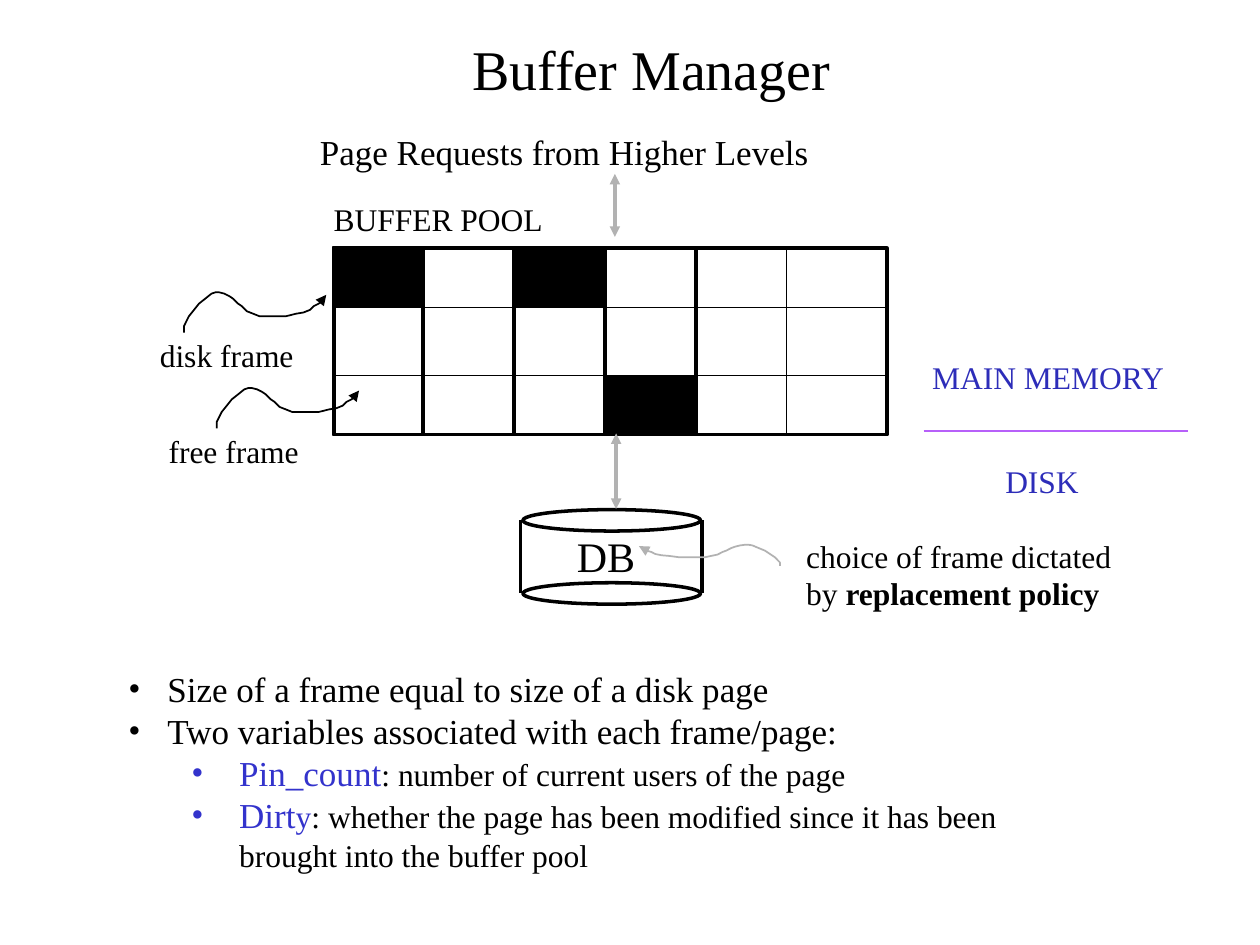
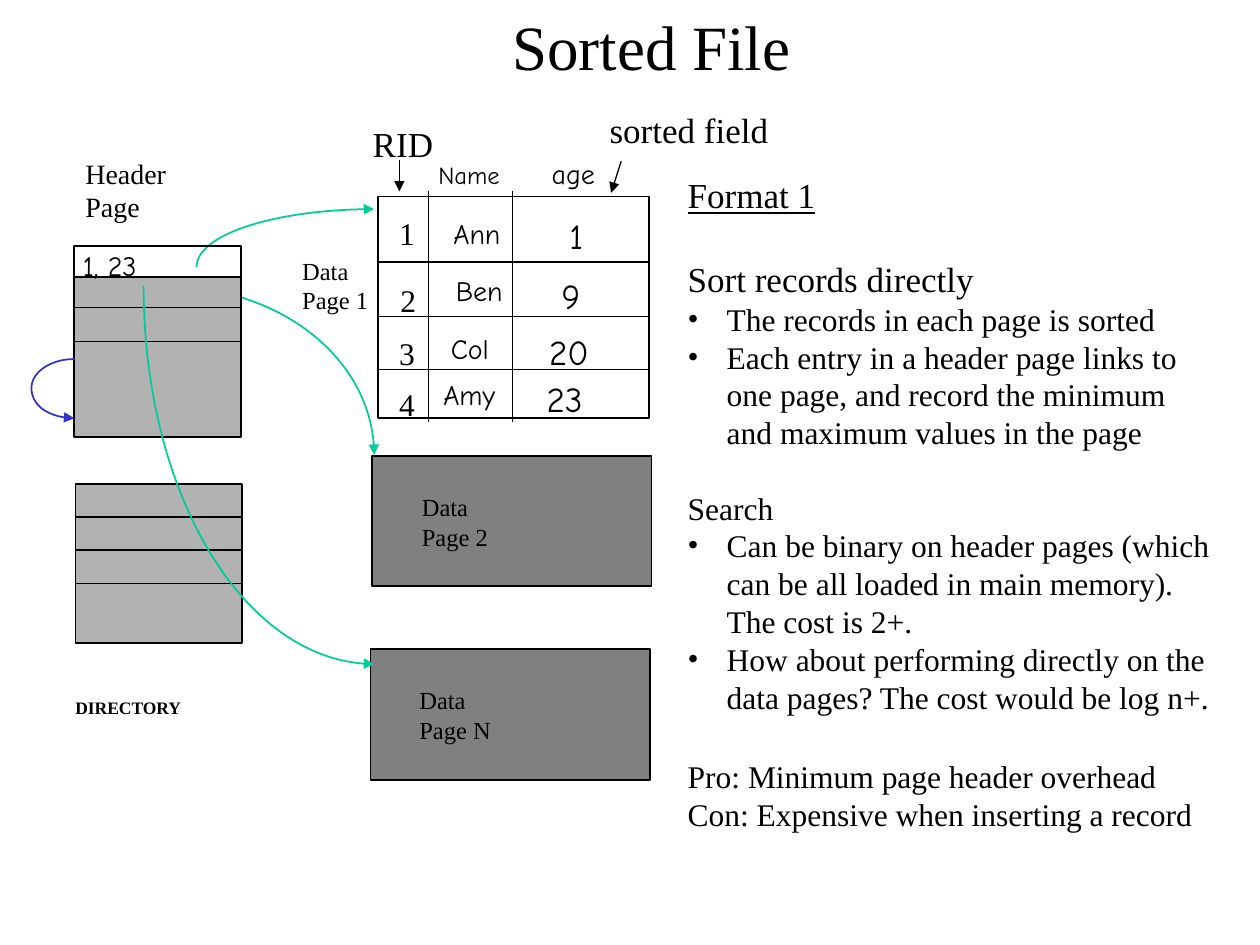
from lxml.etree import SubElement
from pptx import Presentation
from pptx.dml.color import RGBColor
from pptx.enum.shapes import MSO_CONNECTOR, MSO_SHAPE
from pptx.enum.text import MSO_ANCHOR, MSO_AUTO_SIZE, PP_ALIGN
from pptx.oxml.ns import qn
from pptx.util import Inches, Pt

WIDTH, HEIGHT = 10, 7.5
SERIF, HAND = "Times New Roman", "Comic Neue"
BLACK = RGBColor(0x00, 0x00, 0x00)
BLUE = RGBColor(0x33, 0x33, 0xCC)
NAVY = RGBColor(0x2D, 0x2D, 0xB9)
VIOLET = RGBColor(0xB7, 0x60, 0xF9)
GREEN = RGBColor(0x00, 0xCC, 0x99)
SILVER = RGBColor(0xB2, 0xB2, 0xB2)
GRAY = RGBColor(0x80, 0x80, 0x80)

BUFFER_LABELS = [
    ("Page Requests from Higher Levels", (2.44, 0.99, 4.11, 0.43), 20, BLACK),
    ("BUFFER POOL", (2.55, 1.54, 1.9, 0.4), 18, BLACK),
    ("disk frame", (1.17, 2.62, 1.27, 0.4), 18, BLACK),
    ("free frame", (1.24, 3.38, 1.24, 0.4), 18, BLACK),
    ("MAIN MEMORY", (7.3, 2.79, 2.12, 0.4), 18, NAVY),
    ("DISK", (7.88, 3.62, 0.79, 0.4), 18, NAVY),
    ("DB", (4.48, 4.16, 0.69, 0.5), 24, BLACK),
]
POLICY = [
    {"runs": [("choice of frame dictated", {})]},
    {"runs": [("by ", {}), ("replacement policy", {"bold": True})]},
]
BUFFER_NOTES = [
    {"indent": (0.31, 0.31),
     "runs": [("Size of a frame equal to size of a disk page", {})]},
    {"indent": (0.31, 0.31),
     "runs": [("Two variables associated with each frame/page:", {})]},
    {"indent": (0.88, 0.38), "level": 1,
     "runs": [("Pin_count", {"color": BLUE}),
              (": number of current users of the page", {"size": 18})]},
    {"indent": (0.88, 0.38), "level": 1,
     "runs": [("Dirt", {"color": BLUE}),
              ("y", {"size": 18, "color": BLUE}),
              (": whether the page has been modified since it has been "
               "brought into the buffer pool", {"size": 18})]},
]
POOL_LEFT, POOL_RIGHT, POOL_TOP, POOL_HEIGHT = 2.64, 7.04, 1.96, 1.49
FRAME_PITCH, FRAME_WIDTH, FRAME_HEIGHT = 0.723, 0.71, 0.48
POOL_RULES = [2.44, 2.98]
USED_FRAMES = [(0, POOL_TOP), (2, POOL_TOP), (3, POOL_RULES[1])]
WAVE = [(0, 0), (0, -0.05), (0.02, -0.09), (0.04, -0.13), (0.08, -0.18),
        (0.12, -0.23), (0.17, -0.27), (0.22, -0.31), (0.25, -0.32),
        (0.28, -0.32), (0.32, -0.31), (0.36, -0.29), (0.39, -0.27),
        (0.43, -0.23), (0.46, -0.21), (0.5, -0.17), (0.55, -0.15),
        (0.6, -0.13), (0.81, -0.13), (0.85, -0.14), (0.89, -0.15),
        (0.95, -0.16), (1, -0.18), (1.03, -0.21), (1.07, -0.23),
        (1.1, -0.25), (1.13, -0.3)]
WAVES = [
    ((1.46, 2.64), (1, 1), BLACK),
    ((1.72, 3.4), (1, 1), BLACK),
    ((6.19, 4.49), (-0.99, 0.52), SILVER),
]
DB_LEFT, DB_RIGHT, DB_TOP, DB_BOTTOM, DB_RIM = 4.13, 5.57, 4.13, 4.71, 0.17

RECORDS = [
    [("1", 3.07, 1.65, 0.33), ("Ann", 3.5, 1.67, 0.6), ("1", 4.42, 1.65, 0.33)],
    [("2", 3.08, 2.18, 0.33), ("Ben", 3.52, 2.12, 0.58), ("9", 4.36, 2.13, 0.37)],
    [("3", 3.07, 2.6, 0.33), ("Col", 3.48, 2.58, 0.52), ("20", 4.26, 2.57, 0.55)],
    [("4", 3.07, 3.01, 0.33), ("Amy", 3.42, 2.95, 0.66), ("23", 4.24, 2.95, 0.55)],
]
FIELDS = [(18, SERIF, 0.4), (16, HAND, 0.37), (20, HAND, 0.44)]
RECORD_RULES, FIELD_RULES = [2.08, 2.51, 2.93], [3.4, 4.07]
PAGE_LEFT, PAGE_RIGHT = 3, 5.15
SORTED_LABELS = [
    ("sorted field", (4.74, 0.81, 1.47, 0.44), 20, SERIF),
    ("RID", (2.86, 0.92, 0.69, 0.44), 20, SERIF),
    ("Name", (3.38, 1.22, 0.72, 0.34), 14, HAND),
    ("age", (4.28, 1.19, 0.72, 0.37), 16, HAND),
    ("1, 23", (0.56, 1.92, 1.08, 0.37), 16, HAND),
    ("Header\nPage", (0.58, 1.19, 0.85, 0.64), 16, SERIF),
    ("Data\nPage 1", (2.3, 1.98, 0.73, 0.57), 14, SERIF),
    ("Data\nPage 2", (3.25, 3.86, 0.73, 0.57), 14, SERIF),
    ("Data\nPage N", (3.23, 5.39, 0.77, 0.57), 14, SERIF),
]
DATA_PAGES = [(2.95, 3.62, 2.22, 1.03), (2.94, 5.15, 2.22, 1.04)]
HEADER_ENTRIES = [(1.95, None), (2.2, SILVER), (2.44, SILVER), (2.71, SILVER)]
DIRECTORY_TOP, DIRECTORY_PITCH = 3.84, 0.264
PAGE_LINKS = [((1.56, 2.12), (2.97, 1.66), True), ((1.3, 2.27), (2.97, 3.61), False)]
LAST_PAGE_LINK = ((1.14, 2.27), (2.97, 5.27), True)
NEXT_HEADER_LINK = [((0.59, 2.85), (0.25, 3.08), False),
                    ((0.25, 3.08), (0.59, 3.32), True)]
FORMAT_NOTES = [
    {"runs": [("Format 1", {"size": 20, "underline": True})]},
    {"before": 24, "runs": [("Sort records directly", {"size": 20})]},
    {"indent": (0.31, 0.31),
     "runs": [("The records in each page is sorted", {})]},
    {"indent": (0.31, 0.31),
     "runs": [("Each entry in a header page links to one page, and record the "
               "minimum and maximum values in the page", {})]},
    {"before": 21.5, "runs": [("Search", {})]},
    {"indent": (0.31, 0.31),
     "runs": [("Can be binary on header pages (which can be all loaded in "
               "main memory). The cost is 2+.", {})]},
    {"indent": (0.31, 0.31),
     "runs": [("How about performing directly on the data pages? The cost "
               "would be log n+.", {})]},
    {"before": 24, "runs": [("Pro: Minimum page header overhead", {})]},
    {"runs": [("Con: Expensive when inserting a record", {})]},
]


def add_text(slide, paragraphs, box, size, color=BLACK, font=SERIF, wrap=False,
             align=PP_ALIGN.LEFT, anchor=MSO_ANCHOR.TOP, grow=True):
    frame = slide.shapes.add_textbox(*map(Inches, box)).text_frame
    frame.word_wrap = wrap
    frame.vertical_anchor = anchor
    frame.auto_size = MSO_AUTO_SIZE.SHAPE_TO_FIT_TEXT if grow else MSO_AUTO_SIZE.NONE
    for index, content in enumerate(paragraphs):
        paragraph = frame.add_paragraph() if index else frame.paragraphs[0]
        paragraph.alignment = align
        paragraph.level = content.get("level", 0)
        if "indent" in content:
            margin, hanging = content["indent"]
            properties = paragraph._p.get_or_add_pPr()
            properties.set("marL", str(Inches(margin)))
            properties.set("indent", str(-Inches(hanging)))
            SubElement(properties, qn("a:buFont")).set("typeface", SERIF)
            SubElement(properties, qn("a:buChar")).set("char", "•")
        if "before" in content:
            paragraph.space_before = Pt(content["before"])
        for words, look in content["runs"]:
            run = paragraph.add_run()
            run.text = words
            run.font.name = font
            run.font.size = Pt(look.get("size", size))
            run.font.color.rgb = look.get("color", color)
            run.font.bold = look.get("bold")
            run.font.underline = look.get("underline")


def add_label(slide, words, box, size, color=BLACK, font=SERIF, **options):
    lines = [{"runs": [(line, {})]} for line in words.split("\n")]
    add_text(slide, lines, box, size, color, font, **options)


def add_title(slide, words, top, height, size):
    add_label(slide, words, (0.92, top, 8.5, height), size, wrap=True, grow=False,
              align=PP_ALIGN.CENTER, anchor=MSO_ANCHOR.MIDDLE)


def add_box(slide, box, fill=None, weight=1, kind=MSO_SHAPE.RECTANGLE):
    shape = slide.shapes.add_shape(kind, *map(Inches, box))
    shape.shadow.inherit = False
    if fill is None:
        shape.fill.background()
    else:
        shape.fill.solid()
        shape.fill.fore_color.rgb = fill
    if weight:
        shape.line.color.rgb = BLACK
        shape.line.width = Pt(weight)
    else:
        shape.line.fill.background()


def draw_stroke(shape, color, weight, arrows):
    shape.line.color.rgb = color
    shape.line.width = Pt(weight)
    stroke = shape.element.spPr.find(qn("a:ln"))
    for end in arrows:
        SubElement(stroke, qn(f"a:{end}End")).set("type", "triangle")


def add_line(slide, start, end, color=BLACK, weight=1.0, arrows=()):
    line = slide.shapes.add_connector(MSO_CONNECTOR.STRAIGHT, *map(Inches, start + end))
    draw_stroke(line, color, weight, arrows)
    SubElement(line.element.spPr, qn("a:effectLst"))


def add_path(slide, points, color):
    corners = [(Inches(x), Inches(y)) for x, y in points]
    builder = slide.shapes.build_freeform(*corners[0], scale=1.0)
    builder.add_line_segments(corners[1:], close=False)
    outline = builder.convert_to_shape()
    outline.shadow.inherit = False
    outline.fill.background()
    draw_stroke(outline, color, 1, ["tail"])
    return outline


def add_arcs(slide, arcs, color):
    points = [arcs[0][0]]
    for (x0, y0), (x1, y1), upright in arcs:
        near, far = 0.55, 0.45
        if upright:
            points += [(x0, y0 + (y1 - y0) * near), (x0 + (x1 - x0) * far, y1)]
        else:
            points += [(x0 + (x1 - x0) * near, y0), (x1, y0 + (y1 - y0) * far)]
        points.append((x1, y1))
    outline = add_path(slide, points, color)
    segments = list(outline.element.spPr.iter(qn("a:lnTo")))
    for first in range(0, len(segments), 3):
        bend = SubElement(segments[first].getparent(), qn("a:cubicBezTo"))
        for segment in segments[first:first + 3]:
            bend.append(segment[0])
            segment.getparent().remove(segment)


def build_buffer_manager(slide):
    add_title(slide, "Buffer Manager", 0.17, 0.74, 32)
    for rim in (DB_TOP, DB_BOTTOM):
        add_box(slide, (DB_LEFT + 0.02, rim - DB_RIM / 2, 1.41, DB_RIM),
                weight=2, kind=MSO_SHAPE.OVAL)
    for side in (DB_LEFT, DB_RIGHT):
        add_line(slide, (side, DB_TOP), (side, DB_BOTTOM), weight=2)
    add_line(slide, (7.33, 3.42), (9.43, 3.42), VIOLET)

    add_box(slide, (POOL_LEFT + 0.01, POOL_TOP + 0.01, 4.39, 1.48), weight=2)
    for column in range(5):
        add_box(slide, (POOL_LEFT + column * FRAME_PITCH, POOL_TOP, FRAME_WIDTH, POOL_HEIGHT))
    for rule in POOL_RULES:
        add_line(slide, (POOL_LEFT, rule), (POOL_RIGHT, rule))
    for column, top in USED_FRAMES:
        add_box(slide, (POOL_LEFT + column * FRAME_PITCH, top, FRAME_PITCH, FRAME_HEIGHT),
                BLACK, weight=0)

    for (left, top), (across, down), color in WAVES:
        add_path(slide, [(left + x * across, top + y * down) for x, y in WAVE], color)
    for x, top, bottom in ((4.88, 1.38, 1.88), (4.89, 3.44, 4.04)):
        add_line(slide, (x, top), (x, bottom), SILVER, 2, ["head", "tail"])
    for label in BUFFER_LABELS:
        add_label(slide, *label)
    add_text(slide, POLICY, (6.3, 4.21, 2.65, 0.7), 18)
    add_text(slide, BUFFER_NOTES, (0.92, 5.25, 7.42, 1.75), 20, wrap=True)


def build_sorted_file(slide):
    add_title(slide, "Sorted File", 0.12, 0.48, 36)
    for page in DATA_PAGES:
        add_box(slide, page, GRAY)
    for link in PAGE_LINKS:
        add_arcs(slide, [link], GREEN)

    add_box(slide, (PAGE_LEFT, 1.56, PAGE_RIGHT - PAGE_LEFT, 1.76))
    for rule in RECORD_RULES:
        add_line(slide, (PAGE_LEFT, rule), (PAGE_RIGHT, rule), weight=0.75)
    for rule in FIELD_RULES:
        add_line(slide, (rule, 1.52), (rule, 3.35), weight=0.75)
    for record in RECORDS:
        for (value, left, top, width), (size, font, height) in zip(record, FIELDS):
            add_label(slide, value, (left, top, width, height), size, font=font)
    add_line(slide, (4.93, 1.28), (4.85, 1.53), weight=0.75, arrows=["tail"])
    add_line(slide, (3.17, 1.27), (3.17, 1.52), weight=0.75, arrows=["tail"])

    for top, fill in HEADER_ENTRIES:
        add_box(slide, (0.59, top, 1.32, 0.76), fill)
    for entry in range(4):
        add_box(slide, (0.6, DIRECTORY_TOP + entry * DIRECTORY_PITCH, 1.32, 0.47), SILVER)
    add_arcs(slide, NEXT_HEADER_LINK, BLUE)
    add_arcs(slide, [LAST_PAGE_LINK], GREEN)

    for words, box, size, font in SORTED_LABELS:
        add_label(slide, words, box, size, font=font, wrap=words in ("age", "1, 23"))
    add_text(slide, [{"runs": [("DIRECTORY", {"bold": True})]}], (0.5, 5.48, 1.06, 0.27), 10)
    add_text(slide, FORMAT_NOTES, (5.36, 1.33, 4.37, 5.39), 18, wrap=True)


def main():
    deck = Presentation()
    deck.slide_width, deck.slide_height = Inches(WIDTH), Inches(HEIGHT)
    for build in (build_buffer_manager, build_sorted_file):
        build(deck.slides.add_slide(deck.slide_layouts[6]))
    deck.save("out.pptx")


if __name__ == "__main__":
    main()
